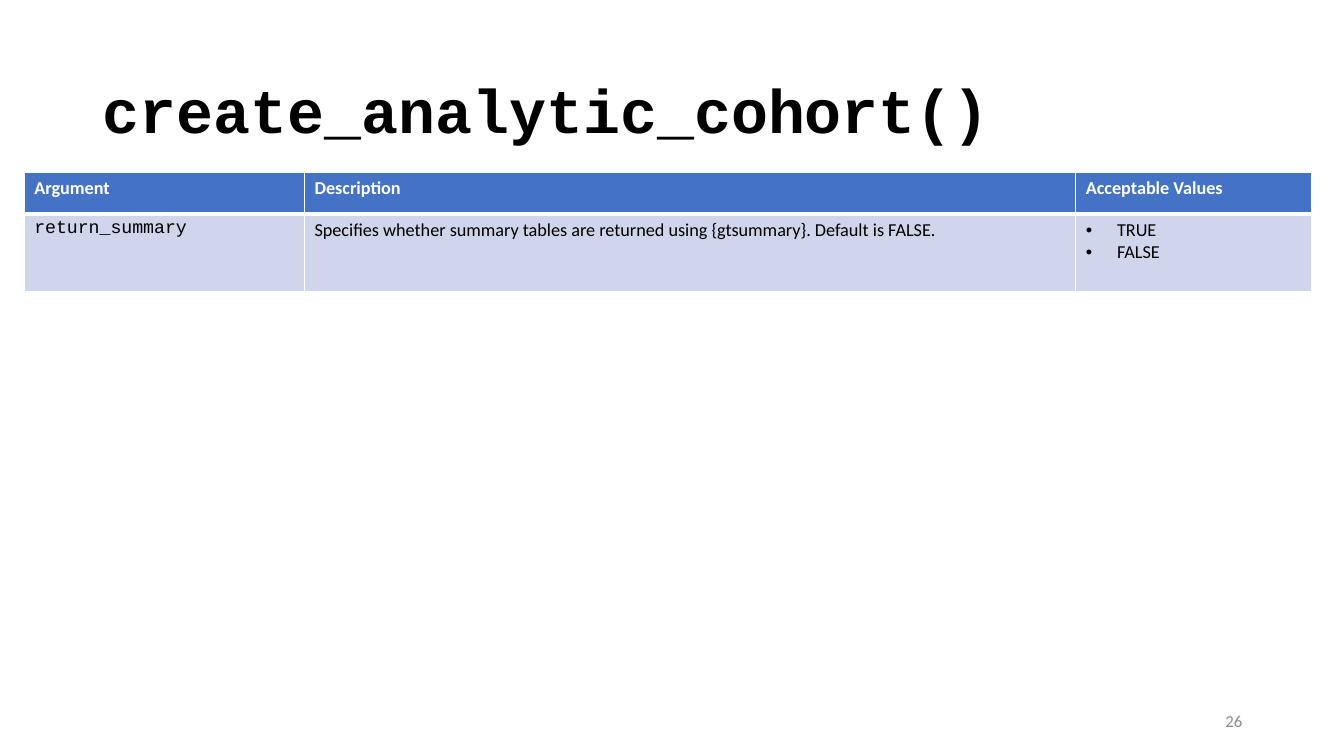
from lxml import etree
from pptx import Presentation
from pptx import util as u
from pptx.dml.color import RGBColor
from pptx.enum import text
from pptx.oxml.ns import qn

WHITE, BLACK, GRAY = "FFFFFF", "000000", "8C8C8C"
HEADER_FILL, BODY_FILL = "4472C4", "CFD5EA"
CODE, BODY = "Courier New", "Calibri"
COLUMNS = [2.78, 7.65, 2.34]
ROWS = [0.41, 0.77]
HEADERS = ["Argument", "Description", "Acceptable Values"]
DESCRIPTION = ("Specifies whether summary tables are returned using {gtsummary}. "
               "Default is FALSE.")


def rgb(value):
    return RGBColor.from_string(value)


def add_bullet(p, indent=0.31):
    pPr = p._p.get_or_add_pPr()
    pPr.set("marL", str(u.Inches(indent)))
    pPr.set("indent", str(-u.Inches(indent)))
    etree.SubElement(pPr, qn("a:buFont"), typeface="Arial")
    etree.SubElement(pPr, qn("a:buChar"), char="•")


def write(p, content, size=13, font=BODY, color=BLACK, bold=False,
          align=text.PP_ALIGN.LEFT, spacing=None, bullet=False):
    if bullet:
        add_bullet(p)
    p.alignment = align
    if spacing:
        p.line_spacing = spacing
    r = p.add_run()
    r.text = content
    r.font.size = u.Pt(size)
    r.font.name = font
    r.font.bold = bold
    r.font.color.rgb = rgb(color)


def add_text(s, content, left, top, width, height, **style):
    sp = s.shapes.add_textbox(*map(u.Inches, (left, top, width, height)))
    tf = sp.text_frame
    tf.word_wrap = True
    tf.vertical_anchor = text.MSO_ANCHOR.MIDDLE
    write(tf.paragraphs[0], content, **style)


def set_borders(cell, bottom):
    """Draw white cell edges, with the bottom edge of the given width."""
    tcPr = cell._tc.get_or_add_tcPr()
    for edge, width in (("L", 1), ("R", 1), ("T", 1), ("B", bottom)):
        ln = etree.SubElement(tcPr, qn("a:ln" + edge), w=str(u.Pt(width)))
        fill = etree.SubElement(ln, qn("a:solidFill"))
        etree.SubElement(fill, qn("a:srgbClr"), val=WHITE)


def fill_cell(cell, lines, fill, bottom=1, **style):
    set_borders(cell, bottom)
    cell.fill.solid()
    cell.fill.fore_color.rgb = rgb(fill)
    tf = cell.text_frame
    for i, line in enumerate(lines):
        p = tf.add_paragraph() if i else tf.paragraphs[0]
        write(p, line, **style)


def add_argument_table(s, left, top):
    size = map(u.Inches, (left, top, sum(COLUMNS), sum(ROWS)))
    table = s.shapes.add_table(len(ROWS), len(COLUMNS), *size).table
    for column, width in zip(table.columns, COLUMNS):
        column.width = u.Inches(width)
    for row, height in zip(table.rows, ROWS):
        row.height = u.Inches(height)
    for i, header in enumerate(HEADERS):
        fill_cell(table.cell(0, i), [header], HEADER_FILL, bottom=3,
                  color=WHITE, bold=True)
    fill_cell(table.cell(1, 0), ["return_summary"], BODY_FILL, font=CODE)
    fill_cell(table.cell(1, 1), [DESCRIPTION], BODY_FILL)
    fill_cell(table.cell(1, 2), ["TRUE", "FALSE"], BODY_FILL, bullet=True)


def main():
    prs = Presentation()
    prs.slide_width, prs.slide_height = u.Inches(13.33), u.Inches(7.5)
    s = prs.slides.add_slide(prs.slide_layouts[6])
    add_text(s, "create_analytic_cohort()", 0.92, 0.4, 11.5, 1.45,
             size=44, font=CODE, bold=True, spacing=0.9)
    add_argument_table(s, 0.24, 1.71)
    add_text(s, "26", 9.42, 6.95, 3, 0.4, size=12, color=GRAY,
             align=text.PP_ALIGN.RIGHT)
    prs.save("out.pptx")


if __name__ == "__main__":
    main()
